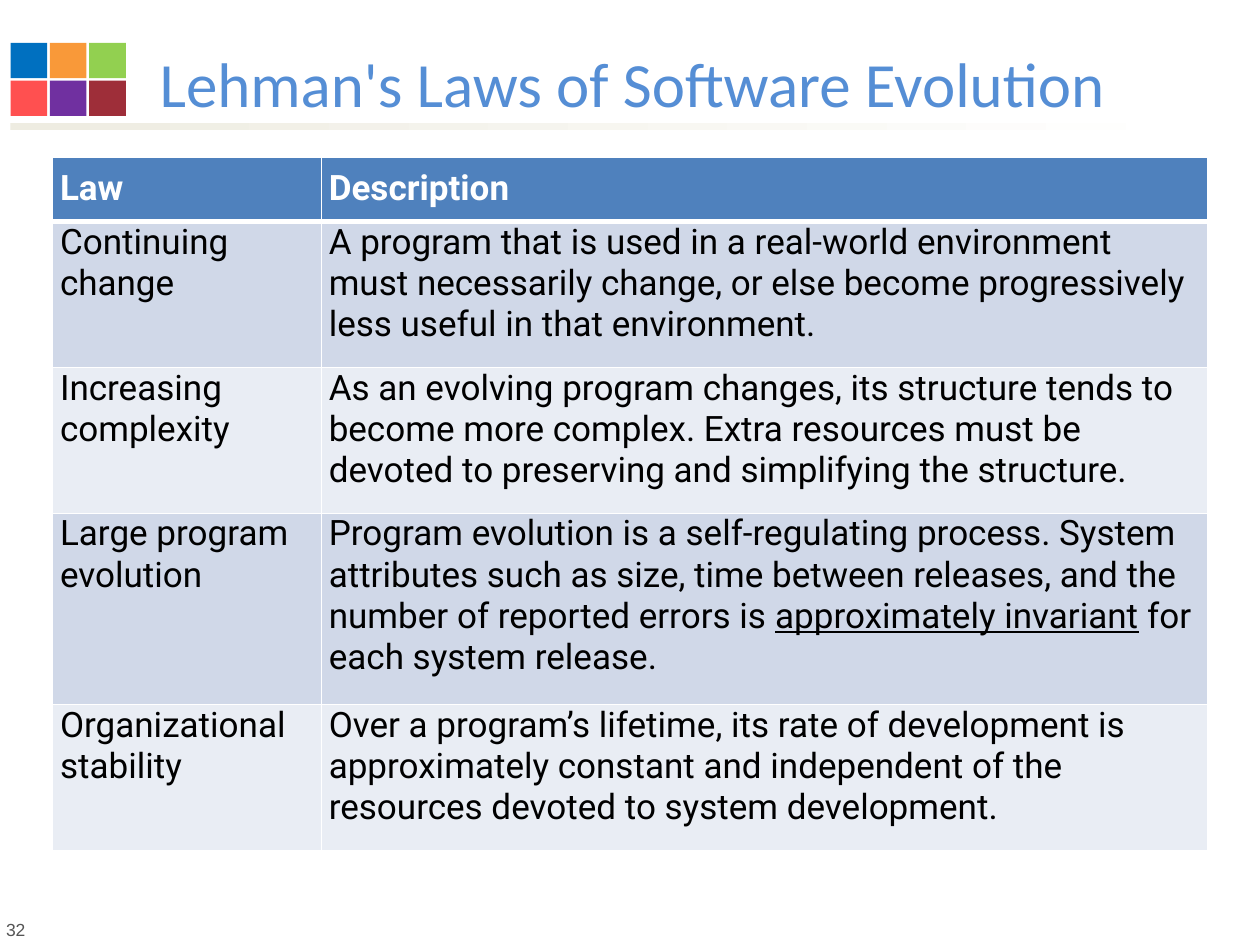
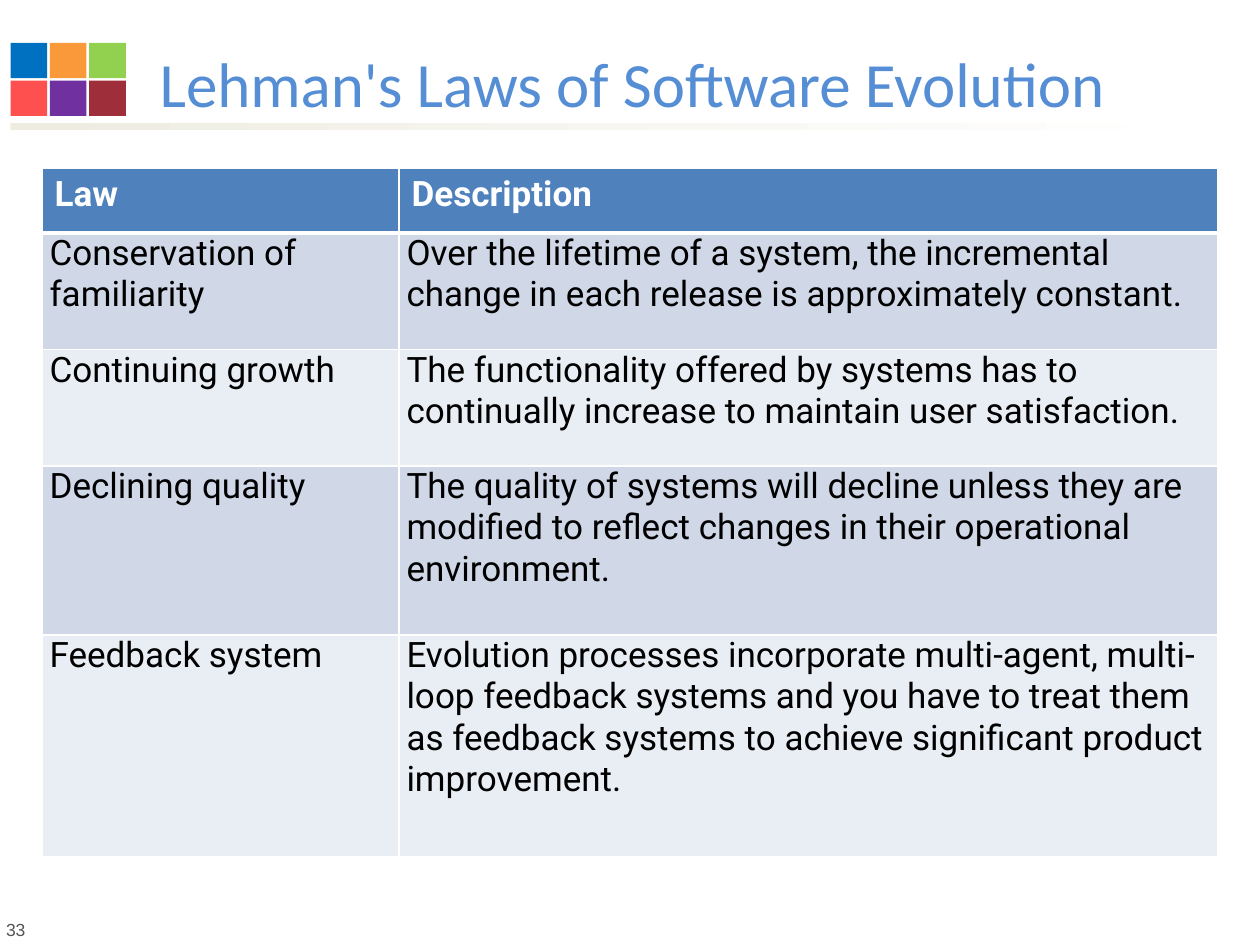
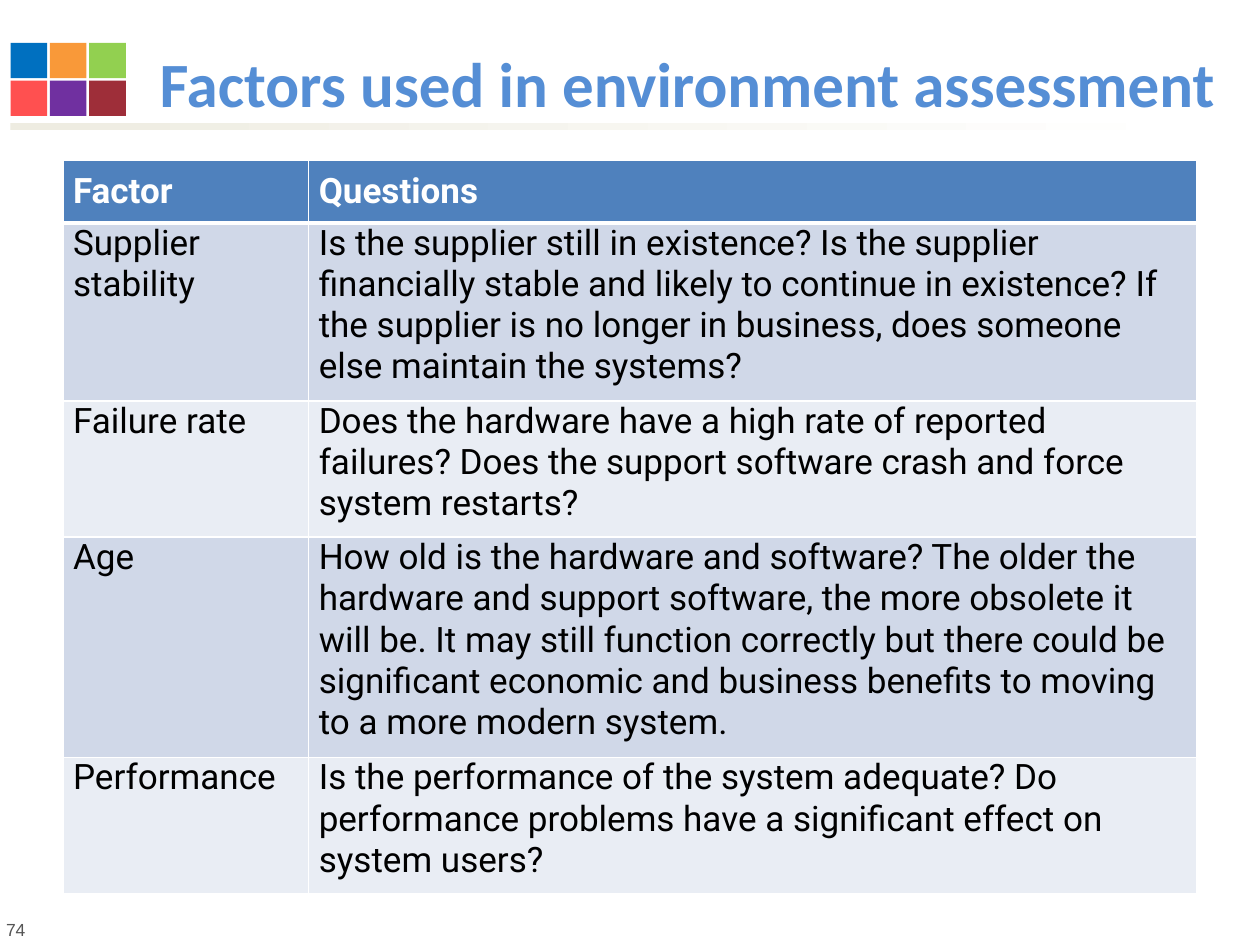
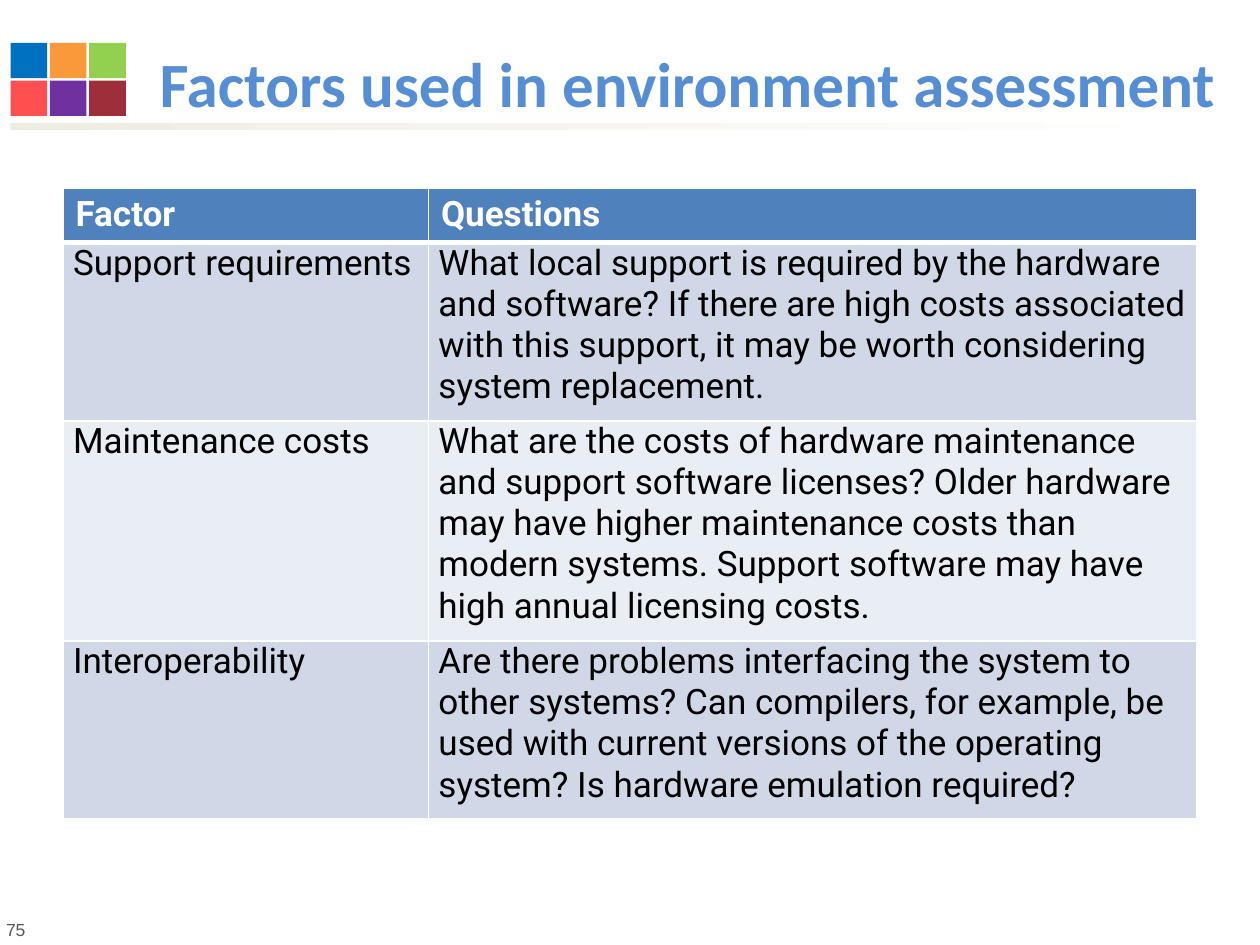
from dataclasses import dataclass
from itertools import product

from lxml import etree
from pptx import Presentation
from pptx.dml.color import RGBColor
from pptx.enum.shapes import MSO_SHAPE
from pptx.enum.text import MSO_ANCHOR, MSO_AUTO_SIZE, PP_ALIGN
from pptx.oxml.ns import qn
from pptx.util import Inches, Pt

RECT = MSO_SHAPE.RECTANGLE
BOTTOM, LEFT = MSO_ANCHOR.BOTTOM, PP_ALIGN.LEFT
FIXED, GROW = MSO_AUTO_SIZE.NONE, MSO_AUTO_SIZE.SHAPE_TO_FIT_TEXT

# The slide is a grid of 120 columns by 90 rows of square cells
SLIDE_W, SLIDE_H = Inches(10), Inches(7.5)
CELL = SLIDE_W / 120

COLORS = {
    "title": "558ED5", "title_outline": "467AB8", "number": "555555",
    "rule_start": "EEECE1", "white": "FFFFFF", "black": "000000",
    "header": "4F81BD", "odd_row": "D0D8E8", "even_row": "E9EDF4",
}
TILES = [["0070C0", "F99939", "92D050"],
         ["FF5050", "7030A0", "9E2E39"]]

TITLE_FONT = {"name": "Calibri", "size": Pt(36)}
NUMBER_FONT = {"name": "Arial", "size": Pt(10)}
TABLE_FONT = {"name": "Roboto", "size": Pt(20)}


@dataclass
class Box:
    """A place on the grid, in cells."""
    x: float
    y: float
    w: float
    h: float

    def emu(self) -> list[int]:
        return [grid(v) for v in (self.x, self.y, self.w, self.h)]


@dataclass
class TableSlide:
    number: int
    title: str
    bold_title: bool
    left: float
    top: float
    columns: list[float]
    row_heights: list[float]
    side_inset: float
    padded_header: bool  # header uses the body's side inset and spacing
    rows: list[tuple[str, str]]  # underscores enclose underlined words


TITLE_BOX = Box(14, 3.85, 104, 8.15)
RULE_BOX = Box(1, 11.76, 113.8, 0.6)
NUMBER_BOX = Box(-0.6, 86.9, 69.6, 3.2)
TILE = Box(1, 4.08, 3.48, 3.36)
TILE_STEP_X, TILE_STEP_Y = 3.75, 3.6

LAW_TITLE = "Lehman's Laws of Software Evolution"
FACTOR_TITLE = "Factors used in environment assessment"
LAW_HEAD, FACTOR_HEAD = ("Law", "Description"), ("Factor", "Questions")

SLIDES = [
    TableSlide(32, LAW_TITLE, False, 5, 15, [25.6, 84.4],
               [6.1, 13.9, 13.9, 18.2, 13.9], 0.06, True, [
        LAW_HEAD,
        ("Continuing change",
         "A program that is used in a real-world environment must necessarily "
         "change, or else become progressively less useful in that environment."),
        ("Increasing complexity",
         "As an evolving program changes, its structure tends to become more "
         "complex. Extra resources must be devoted to preserving and simplifying "
         "the structure."),
        ("Large program evolution",
         "Program evolution is a self-regulating process. System attributes such "
         "as size, time between releases, and the number of reported errors is "
         "_approximately invariant_ for each system release."),
        ("Organizational stability",
         "Over a program’s lifetime, its rate of development is approximately "
         "constant and independent of the resources devoted to system "
         "development."),
    ]),
    TableSlide(33, LAW_TITLE, False, 4, 16, [34, 78],
               [6.2, 11.1, 11.1, 16.1, 21.1], 0.06, False, [
        LAW_HEAD,
        ("Conservation of familiarity",
         "Over the lifetime of a system, the incremental change in each release "
         "is approximately constant."),
        ("Continuing growth",
         "The functionality offered by systems has to continually increase to "
         "maintain user satisfaction."),
        ("Declining quality",
         "The quality of systems will decline unless they are modified to reflect "
         "changes in their operational environment."),
        ("Feedback system",
         "Evolution processes incorporate multi-agent, multi-loop feedback "
         "systems and you have to treat them as feedback systems to achieve "
         "significant product improvement."),
    ]),
    TableSlide(74, FACTOR_TITLE, True, 6, 15.3, [23.4, 84.6],
               [5.6, 16.6, 12.7, 20.5, 12.7], 0.08, True, [
        FACTOR_HEAD,
        ("Supplier stability",
         "Is the supplier still in existence? Is the supplier financially stable "
         "and likely to continue in existence? If the supplier is no longer in "
         "business, does someone else maintain the systems?"),
        ("Failure rate",
         "Does the hardware have a high rate of reported failures? Does the "
         "support software crash and force system restarts?"),
        ("Age",
         "How old is the hardware and software? The older the hardware and "
         "support software, the more obsolete it will be. It may still function "
         "correctly but there could be significant economic and business benefits "
         "to moving to a more modern system."),
        ("Performance",
         "Is the performance of the system adequate? Do performance problems have "
         "a significant effect on system users?"),
    ]),
    TableSlide(75, FACTOR_TITLE, True, 6, 17.9, [34.8, 73.2],
               [4.9, 16.6, 20.5, 16.6], 0.08, False, [
        FACTOR_HEAD,
        ("Support requirements",
         "What local support is required by the hardware and software? If there "
         "are high costs associated with this support, it may be worth "
         "considering system replacement."),
        ("Maintenance costs",
         "What are the costs of hardware maintenance and support software "
         "licenses? Older hardware may have higher maintenance costs than modern "
         "systems. Support software may have high annual licensing costs."),
        ("Interoperability",
         "Are there problems interfacing the system to other systems? Can "
         "compilers, for example, be used with current versions of the operating "
         "system? Is hardware emulation required?"),
    ]),
]


def grid(cells: float) -> int:
    return round(cells * CELL)


def rgb(color: str) -> RGBColor:
    return RGBColor.from_string(COLORS.get(color, color))


def set_attrs(target, values: dict) -> None:
    for name, value in values.items():
        setattr(target, name, value)


def add_run(p, text: str, color: str, fmt: dict):
    r = p.add_run()
    r.text = text
    set_attrs(r.font, fmt)
    r.font.color.rgb = rgb(color)
    return r


def solid_line(tag: str, color: str, points: float):
    """Build a line element for a cell border or a text outline."""
    ln = etree.Element(qn(tag), w=str(Pt(points)))
    fill = etree.SubElement(ln, qn("a:solidFill"))
    etree.SubElement(fill, qn("a:srgbClr"), val=COLORS[color])
    return ln


def add_rect(shapes, box: Box):
    sp = shapes.add_shape(RECT, *box.emu())
    sp.shadow.inherit = False
    sp.line.fill.background()
    return sp


def add_frame(s, number: int) -> None:
    # Fading rule under the title
    fill = add_rect(s.shapes, RULE_BOX).fill
    fill.gradient()
    fill.gradient_angle = 0
    for stop, color in zip(fill.gradient_stops, ("rule_start", "white")):
        stop.color.rgb = rgb(color)

    # Slide number
    tf = s.shapes.add_textbox(*NUMBER_BOX.emu()).text_frame
    set_attrs(tf, {"word_wrap": True, "auto_size": GROW})
    add_run(tf.paragraphs[0], str(number), "number", NUMBER_FONT)

    # Coloured tiles
    tiles = s.shapes.add_group_shape().shapes
    for row, col in product(range(2), range(3)):
        sp = add_rect(tiles, Box(TILE.x + col * TILE_STEP_X,
                                 TILE.y + row * TILE_STEP_Y, TILE.w, TILE.h))
        sp.fill.solid()
        sp.fill.fore_color.rgb = rgb(TILES[row][col])


def set_title(s, text: str, bold: bool) -> None:
    sp = s.shapes.title
    set_attrs(sp, dict(zip(("left", "top", "width", "height"), TITLE_BOX.emu())))
    tf = sp.text_frame
    set_attrs(tf, {"word_wrap": True, "auto_size": FIXED,
                   "vertical_anchor": BOTTOM})
    p = tf.paragraphs[0]
    p.alignment = LEFT
    r = add_run(p, text, "title", TITLE_FONT | {"bold": bold})
    r.font._element.insert(0, solid_line("a:ln", "title_outline", 0.83))


def fill_cell(cell, text: str, row: int, spec: TableSlide) -> None:
    header = row == 0
    p = cell.text_frame.paragraphs[0]
    if not header or spec.padded_header:
        side = Inches(spec.side_inset)
        set_attrs(cell, {"margin_left": side, "margin_right": side,
                         "margin_top": Inches(0.08 if header else 0),
                         "margin_bottom": Inches(0.08)})
        p.space_after = Pt(6)
    for i, part in enumerate(text.split("_")):
        add_run(p, part, "white" if header else "black",
                TABLE_FONT | {"bold": header, "underline": i % 2 == 1})

    cell.fill.solid()
    cell.fill.fore_color.rgb = rgb(
        "header" if header else "odd_row" if row % 2 else "even_row")

    # White borders, thicker between header and body
    widths = {"a:lnL": 1, "a:lnR": 1, "a:lnT": 3 if row == 1 else 1,
              "a:lnB": 3 if header else 1}
    tc_pr = cell._tc.get_or_add_tcPr()
    for i, (tag, points) in enumerate(widths.items()):
        tc_pr.insert(i, solid_line(tag, "white", points))


def add_table(s, spec: TableSlide) -> None:
    box = Box(spec.left, spec.top, sum(spec.columns), sum(spec.row_heights))
    table = s.shapes.add_table(len(spec.rows), len(spec.columns),
                               *box.emu()).table
    table.horz_banding = False
    for column, width in zip(table.columns, spec.columns):
        column.width = grid(width)
    for i, (row, height) in enumerate(zip(table.rows, spec.row_heights)):
        row.height = grid(height)
        for cell, text in zip(row.cells, spec.rows[i]):
            fill_cell(cell, text, i, spec)


def main() -> None:
    prs = Presentation()
    prs.slide_width, prs.slide_height = SLIDE_W, SLIDE_H
    title_only = prs.slide_layouts[5]
    for spec in SLIDES:
        s = prs.slides.add_slide(title_only)
        add_frame(s, spec.number)
        set_title(s, spec.title, spec.bold_title)
        add_table(s, spec)
    prs.save("out.pptx")


if __name__ == "__main__":
    main()
